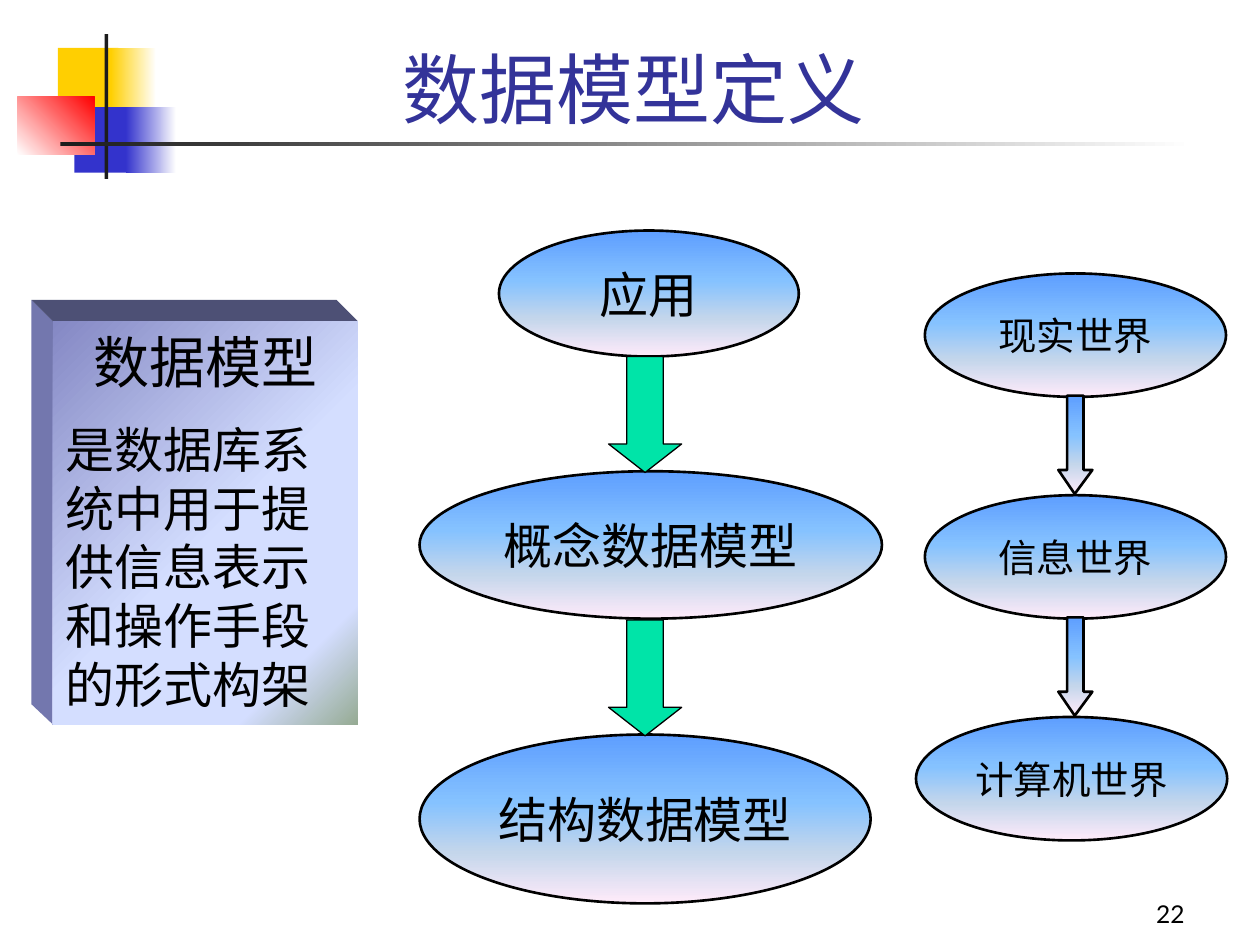
"""Build the slide that defines the data model, with two flows of ellipses."""
from lxml import etree
from pptx import Presentation
from pptx.dml.color import RGBColor
from pptx.enum.shapes import MSO_SHAPE
from pptx.enum.text import MSO_ANCHOR, MSO_AUTO_SIZE, PP_ALIGN
from pptx.oxml.ns import qn
from pptx.util import Inches, Pt

RECTANGLE, ELLIPSE, DOWN_ARROW = MSO_SHAPE.RECTANGLE, MSO_SHAPE.OVAL, MSO_SHAPE.DOWN_ARROW
TOP, MIDDLE, BOTTOM = MSO_ANCHOR.TOP, MSO_ANCHOR.MIDDLE, MSO_ANCHOR.BOTTOM
LEFT, CENTER, RIGHT = PP_ALIGN.LEFT, PP_ALIGN.CENTER, PP_ALIGN.RIGHT
NO_AUTOFIT = MSO_AUTO_SIZE.NONE

BLACK = RGBColor(0x00, 0x00, 0x00)
WHITE = RGBColor(0xFF, 0xFF, 0xFF)
CHARCOAL = RGBColor(0x1C, 0x1C, 0x1C)
YELLOW = RGBColor(0xFF, 0xCF, 0x01)
BLUE = RGBColor(0x33, 0x33, 0xCC)
RED = RGBColor(0xFF, 0x00, 0x00)
TITLE_BLUE = RGBColor(0x33, 0x33, 0x99)
GREEN = RGBColor(0x00, 0xE4, 0xA8)
SIDE_FACE = RGBColor(0x73, 0x77, 0xAE)
TOP_FACE = RGBColor(0x4D, 0x50, 0x75)
SKY = [(0, RGBColor(0x5E, 0x9E, 0xFF)), (40, RGBColor(0x85, 0xC2, 0xFF)),
       (70, RGBColor(0xC4, 0xD6, 0xEB)), (100, RGBColor(0xFF, 0xEB, 0xFA))]
PANEL = [(0, RGBColor(0x84, 0x88, 0xC4)), (53, RGBColor(0xD4, 0xDE, 0xFF)),
         (83, RGBColor(0xD4, 0xDE, 0xFF)), (100, RGBColor(0x96, 0xAB, 0x94))]


def paint(shape, fill, angle=0, line_width=None):
    """Fill with one colour or a list of gradient stops, and set the outline."""
    shape.shadow.inherit = False
    if isinstance(fill, RGBColor):
        shape.fill.solid()
        shape.fill.fore_color.rgb = fill
    else:
        shape.fill.gradient()
        shape.fill.gradient_angle = (360 - angle) % 360
        stops = shape._element.spPr.find(qn("a:gradFill")).find(qn("a:gsLst"))
        for stop in list(stops):
            stops.remove(stop)
        for position, color in fill:
            stop = etree.SubElement(stops, qn("a:gs"), pos=str(position * 1000))
            etree.SubElement(stop, qn("a:srgbClr"), val=str(color))
    if line_width:
        shape.line.color.rgb = BLACK
        shape.line.width = Pt(line_width)
    else:
        shape.line.fill.background()


def write(paragraph, text, size, font, color=BLACK, alignment=CENTER):
    """Add one formatted run to a paragraph."""
    paragraph.alignment = alignment
    run = paragraph.add_run()
    run.text = text
    run.font.size = Pt(size)
    run.font.name = font
    run.font.color.rgb = color


presentation = Presentation()
presentation.slide_width = Inches(10)
presentation.slide_height = Inches(7.5)
slide = presentation.slides.add_slide(presentation.slide_layouts[5])
shapes = slide.shapes

decorations = [
    (0.46, 0.38, 0.48, 0.52, YELLOW, 0),
    (0.88, 0.38, 0.36, 0.52, [(0, YELLOW), (100, WHITE)], 0),
    (0.59, 0.85, 0.46, 0.52, BLUE, 0),
    (1, 0.85, 0.4, 0.52, [(0, BLUE), (100, WHITE)], 0),
    (0.14, 0.77, 0.61, 0.46, [(0, WHITE), (100, RED)], 315),
    (0.83, 0.27, 0.03, 1.15, CHARCOAL, 0),
    (0.48, 1.13, 9, 0.03, [(0, CHARCOAL), (100, WHITE)], 0),
]
for left, top, width, height, fill, angle in decorations:
    block = shapes.add_shape(RECTANGLE, Inches(left), Inches(top), Inches(width), Inches(height))
    paint(block, fill, angle)

title = shapes.title
title.left, title.top, title.width, title.height = Inches(0.39), Inches(0.18), Inches(9.28), Inches(0.93)
title.text_frame.auto_size = NO_AUTOFIT
title.text_frame.vertical_anchor = BOTTOM
write(title.text_frame.paragraphs[0], "数据模型定义", 44, "Lato", TITLE_BLUE)

number_box = shapes.add_textbox(Inches(7.42), Inches(6.92), Inches(2.08), Inches(0.5))
number_box.text_frame.word_wrap = True
number_box.text_frame.vertical_anchor = BOTTOM
write(number_box.text_frame.paragraphs[0], "22", 14, "Lato", alignment=RIGHT)

faces = [
    (SIDE_FACE, [(0.25, 2.38), (0.42, 2.55), (0.42, 5.75), (0.25, 5.59)]),
    (TOP_FACE, [(0.25, 2.38), (2.67, 2.38), (2.84, 2.55), (0.42, 2.55)]),
]
for color, corners in faces:
    points = [(Inches(x), Inches(y)) for x, y in corners]
    builder = shapes.build_freeform(*points[0])
    builder.add_line_segments(points[1:])
    paint(builder.convert_to_shape(), color)

panel = shapes.add_shape(RECTANGLE, Inches(0.42), Inches(2.55), Inches(2.42), Inches(3.2))
paint(panel, PANEL, 45)
panel.text_frame.word_wrap = True
panel.text_frame.vertical_anchor = TOP
write(panel.text_frame.paragraphs[0], "数据模型", 32, "Arial Narrow")
definition = panel.text_frame.add_paragraph()
definition.space_before = Pt(14)
write(definition, "是数据库系统中用于提供信息表示和操作手段的形式构架", 28, "Arial Narrow", alignment=LEFT)

ellipses = [
    ("应用", 28, 3.96, 1.83, 2.38, 1),
    ("概念数据模型", 28, 3.33, 3.74, 3.67, 1.17),
    ("结构数据模型", 28, 3.33, 5.83, 3.58, 1.34),
    ("现实世界", 22, 7.34, 2.17, 2.39, 0.98),
    ("信息世界", 22, 7.34, 3.93, 2.39, 0.98),
    ("计算机世界", 22, 7.27, 5.69, 2.47, 0.98),
]
for text, size, left, top, width, height in ellipses:
    ellipse = shapes.add_shape(ELLIPSE, Inches(left), Inches(top), Inches(width), Inches(height))
    paint(ellipse, SKY, 90, 1.5)
    ellipse.text_frame.word_wrap = False
    ellipse.text_frame.vertical_anchor = MIDDLE
    write(ellipse.text_frame.paragraphs[0], text, size, "Noto Sans CJK SC")

for top in (2.83, 4.92):
    arrow = shapes.add_shape(DOWN_ARROW, Inches(4.83), Inches(top), Inches(0.58), Inches(0.92))
    arrow.adjustments[0] = 0.5
    arrow.adjustments[1] = 0.39
    paint(arrow, GREEN, line_width=0.75)

arrow_outline = [(0, 0.59), (0.07, 0.59), (0.07, 0), (0.2, 0), (0.2, 0.59), (0.27, 0.59), (0.13, 0.78)]
for top in (3.14, 4.9):
    points = [(Inches(8.4 + x), Inches(top + y)) for x, y in arrow_outline]
    builder = shapes.build_freeform(*points[0])
    builder.add_line_segments(points[1:])
    paint(builder.convert_to_shape(), SKY, 90, 1.5)

presentation.save("out.pptx")
